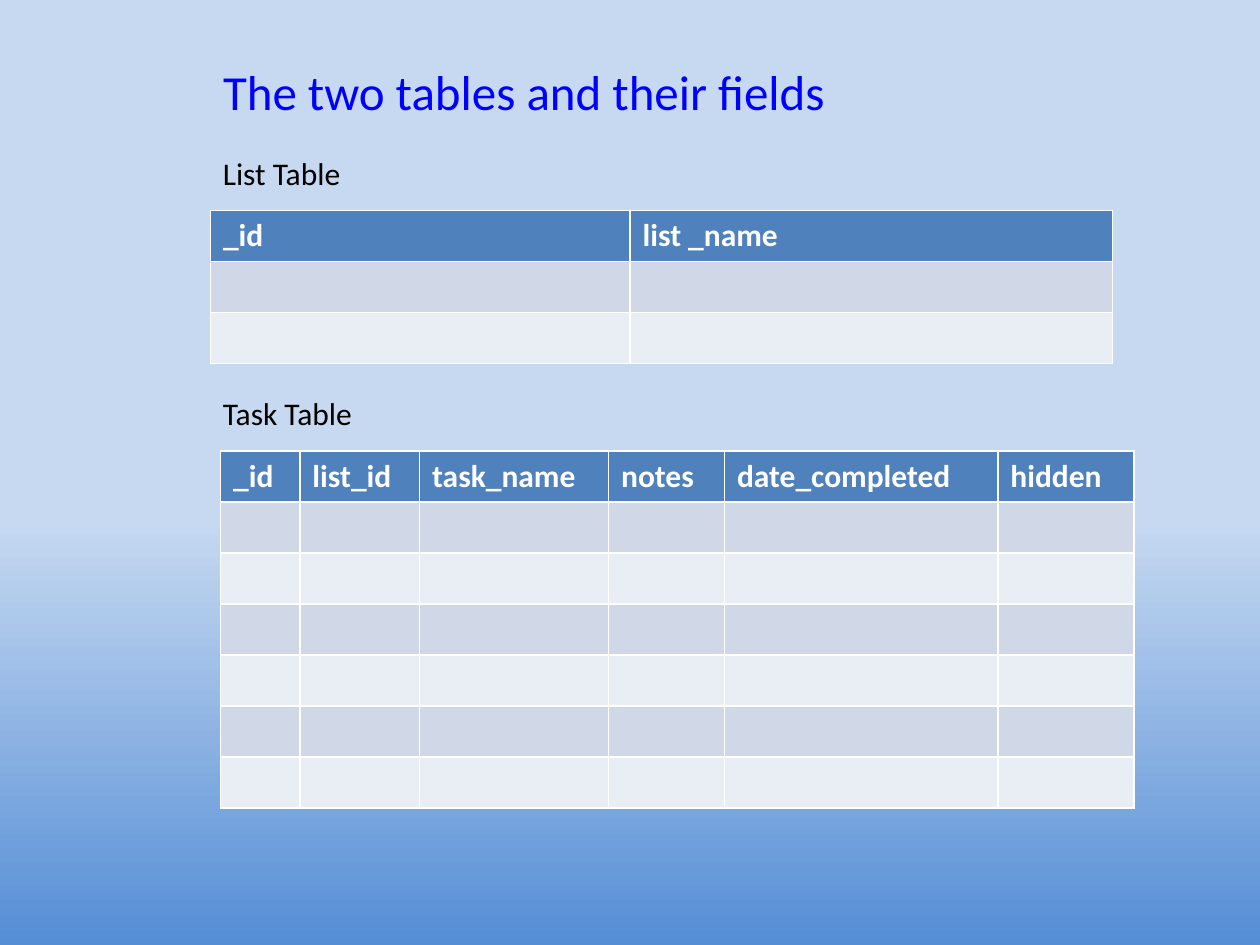
"""Build a slide showing the fields of the list and task tables."""
from dataclasses import dataclass

from pptx import Presentation
from pptx.dml.color import RGBColor as RGB
from pptx.enum.text import MSO_ANCHOR as Anchor, MSO_AUTO_SIZE as AutoSize, PP_ALIGN as Align
from pptx.util import Inches, Pt


@dataclass(frozen=True)
class Theme:
    font: str = "Calibri"
    title_size: int = 28
    body_size: int = 18
    title: str = "0000FF"
    text: str = "000000"
    header_text: str = "FFFFFF"
    header: str = "4F81BD"
    bands: tuple = ("D0D8E8", "E9EDF4")
    background: tuple = ((0.55, "C6D9F1"), (1, "558ED5"))


theme = Theme()


def write(tf, text, size=theme.body_size, color=theme.text, bold=False):
    p = tf.paragraphs[0]
    p.alignment = Align.LEFT
    r = p.add_run()
    r.text = text
    r.font.name = theme.font
    r.font.size = Pt(size)
    r.font.bold = bold
    r.font.color.rgb = RGB.from_string(color)


prs = Presentation()
prs.slide_width, prs.slide_height = Inches(10), Inches(7.5)
s = prs.slides.add_slide(prs.slide_layouts[5])

fill = s.background.fill
fill.gradient()
fill.gradient_angle = 270
for stop, (position, color) in zip(fill.gradient_stops, theme.background):
    stop.position = position
    stop.color.rgb = RGB.from_string(color)

title = s.shapes.title
title.left, title.top = Inches(1.67), Inches(0.44)
title.width, title.height = Inches(7), Inches(0.57)
tf = title.text_frame
tf.word_wrap = True
tf.auto_size = AutoSize.SHAPE_TO_FIT_TEXT
tf.vertical_anchor = Anchor.TOP
write(tf, "The two tables and their fields", size=theme.title_size, color=theme.title)

row_height = 0.405
tables = [
    ("List Table", 1.17, 1.67, 1.67, 2, [("_id", 3.33), ("list _name", 3.83)]),
    ("Task Table", 3.08, 1.75, 3.58, 6,
     [("_id", 0.63), ("list_id", 0.95), ("task_name", 1.5),
      ("notes", 0.92), ("date_completed", 2.17), ("hidden", 1.08)]),
]

for label, label_top, left, top, body_rows, fields in tables:
    box = s.shapes.add_textbox(Inches(1.67), Inches(label_top), Inches(3.92), Inches(0.5))
    tf = box.text_frame
    tf.word_wrap = True
    tf.auto_size = AutoSize.SHAPE_TO_FIT_TEXT
    write(tf, label)

    rows = body_rows + 1
    width = sum(w for _, w in fields)
    table = s.shapes.add_table(rows, len(fields), Inches(left), Inches(top),
                               Inches(width), Inches(rows * row_height)).table
    for row in table.rows:
        row.height = Inches(row_height)
    for col, (field, col_width) in enumerate(fields):
        table.columns[col].width = Inches(col_width)
        write(table.cell(0, col).text_frame, field, color=theme.header_text, bold=True)
        for row in range(rows):
            color = theme.bands[(row - 1) % 2] if row else theme.header
            cell = table.cell(row, col)
            cell.fill.solid()
            cell.fill.fore_color.rgb = RGB.from_string(color)

prs.save("out.pptx")
